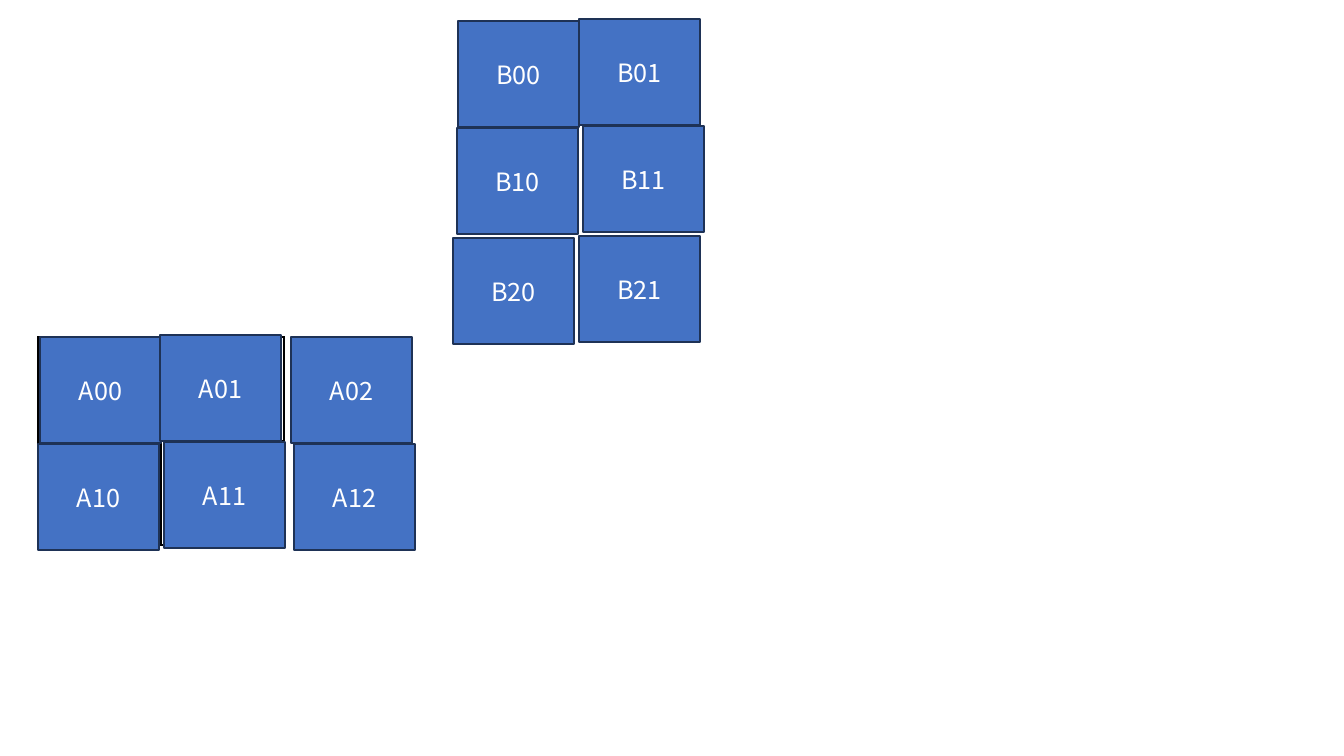
import pptx
import pptx.util
import pptx.dml.color
import pptx.enum.shapes
import pptx.enum.text
import pptx.oxml
import pptx.oxml.ns

FONT = "Noto Sans CJK KR"


def px(n):
    return pptx.util.Emu(round(n * 914400 / 100.8))


def paint(font, size, color):
    font.name = FONT
    font.size = pptx.util.Pt(size)
    font.color.rgb = pptx.dml.color.RGBColor.from_string(color)


deck = pptx.Presentation()
deck.slide_width, deck.slide_height = px(1344), px(756)
slide = deck.slides.add_slide(deck.slide_layouts[6])

grid = slide.shapes.add_table(2, 2, px(38), px(337), px(246), px(208)).table
grid.first_row = grid.horz_banding = False
for col in grid.columns:
    col.width = px(123)
for r, row in enumerate(grid.rows):
    row.height = px(104)
    for c, cell in enumerate(row.cells):
        cell.margin_left = cell.margin_right = px(13)
        cell.margin_top = cell.margin_bottom = px(6)
        cell.text_frame.text = f"A{r}{c}"
        paint(cell.text_frame.paragraphs[0].runs[0].font, 23, "000000")
        props = cell._tc.get_or_add_tcPr()
        for side in ("lnL", "lnR", "lnT", "lnB"):
            props.append(pptx.oxml.parse_xml(
                f'<a:{side} {pptx.oxml.ns.nsdecls("a")} w="12700"><a:solidFill>'
                f'<a:srgbClr val="000000"/></a:solidFill></a:{side}>'))
        cell.fill.background()

tiles = [
    ("A00", 40, 337), ("A01", 160, 335), ("A10", 38, 444), ("A11", 164, 442),
    ("B00", 458, 21), ("B01", 579, 19), ("B10", 457, 128), ("B11", 583, 126),
    ("A02", 291, 337), ("A12", 294, 444), ("B20", 453, 238), ("B21", 579, 236),
]
for name, left, top in tiles:
    tile = slide.shapes.add_shape(
        pptx.enum.shapes.MSO_SHAPE.RECTANGLE, px(left), px(top), px(121), px(106))
    tile.shadow.inherit = False
    tile.fill.solid()
    tile.fill.fore_color.rgb = pptx.dml.color.RGBColor.from_string("4472C4")
    tile.line.color.rgb = pptx.dml.color.RGBColor.from_string("1E3256")
    tile.line.width = pptx.util.Pt(1)
    frame = tile.text_frame
    frame.vertical_anchor = pptx.enum.text.MSO_ANCHOR.MIDDLE
    frame.text = name
    frame.paragraphs[0].alignment = pptx.enum.text.PP_ALIGN.CENTER
    paint(frame.paragraphs[0].runs[0].font, 18, "FFFFFF")

deck.save("out.pptx")
